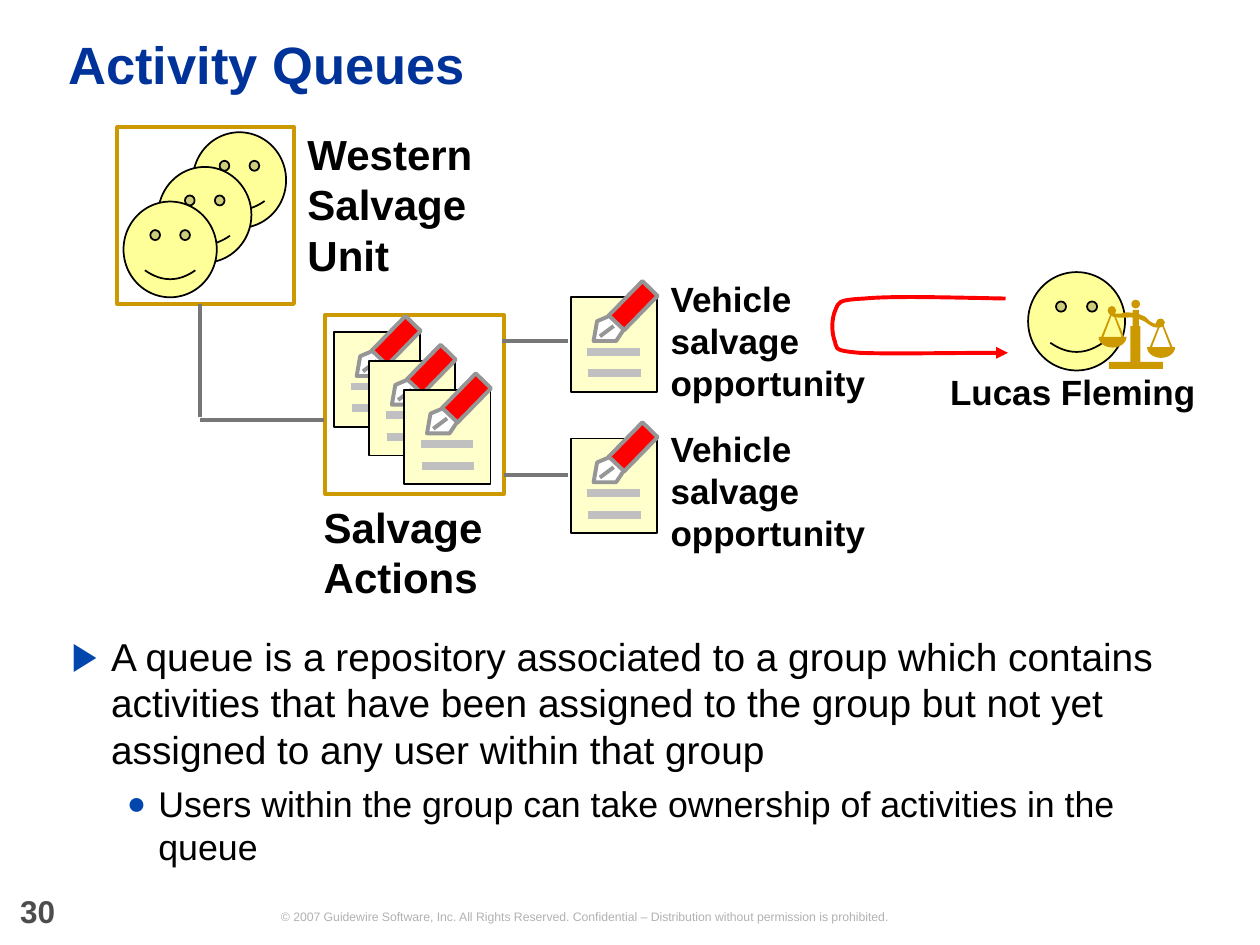
import math

from lxml import etree
from pptx import Presentation
from pptx.dml.color import RGBColor
from pptx.enum import shapes, text
from pptx.oxml import ns
from pptx.util import Pt

COLORS = {
    "title": "003399", "bullet": "0146AD", "black": "000000", "number": "4D4D4D",
    "footer": "B2B2B2", "face": "FFFF99", "gold": "CC9900", "paper": "FFFFCC",
    "rule": "C0C0C0", "red": "FF0000", "pen": "969696", "white": "FFFFFF",
    "connector": "777777",
}
SHAPE = shapes.MSO_SHAPE


def color(name):
    return RGBColor.from_string(COLORS[name])


def style(shape, fill=None, line=None, weight=1):
    shape.shadow.inherit = False
    if fill:
        shape.fill.solid()
        shape.fill.fore_color.rgb = color(fill)
    else:
        shape.fill.background()
    if line:
        shape.line.color.rgb = color(line)
        shape.line.width = Pt(weight)
    else:
        shape.line.fill.background()
    return shape


def add_preset(parent, kind, left, top, width, height, **look):
    return style(parent.add_shape(kind, Pt(left), Pt(top), Pt(width), Pt(height)), **look)


def add_outline(parent, left, top, points, close=True, **look):
    placed = [(Pt(left + x), Pt(top + y)) for x, y in points]
    builder = parent.build_freeform(*placed[0])
    builder.add_line_segments(placed[1:], close=close)
    return style(builder.convert_to_shape(), **look)


def add_line(parent, x1, y1, x2, y2, line, weight=2.25):
    connector = parent.add_connector(
        shapes.MSO_CONNECTOR.STRAIGHT, Pt(x1), Pt(y1), Pt(x2), Pt(y2))
    connector.line.color.rgb = color(line)
    connector.line.width = Pt(weight)
    etree.SubElement(connector._element.spPr, ns.qn("a:effectLst"))


def set_font(paragraph, size, fill, bold=False):
    paragraph.font.name = "Arial"
    paragraph.font.size = Pt(size)
    paragraph.font.bold = bold
    paragraph.font.color.rgb = color(fill)


def add_frame(parent, left, top, width, height, anchor=text.MSO_ANCHOR.TOP):
    frame = parent.add_textbox(Pt(left), Pt(top), Pt(width), Pt(height)).text_frame
    frame.word_wrap = True
    frame.vertical_anchor = anchor
    frame.margin_left = frame.margin_right = frame.margin_top = frame.margin_bottom = 0
    return frame


def add_label(parent, box, words, size, fill="black", bold=True, **layout):
    frame = add_frame(parent, *box, **layout)
    paragraph = frame.paragraphs[0]
    paragraph.text = words
    set_font(paragraph, size, fill, bold)
    return paragraph


def add_face(parent, left, top, width=53.3, height=54.7):
    face = add_preset(parent, SHAPE.SMILEY_FACE, left, top, width, height,
                      fill="face", line="black")
    face.adjustments[0] = 0.093


def add_document(parent, left, top):
    add_preset(parent, SHAPE.RECTANGLE, left, top, 49.3, 54, fill="paper", line="black")
    for x, y in ((10.1, 43.5), (9.5, 31)):
        add_line(parent, left + x, top + y, left + x + 30, top + y, "rule", 4.5)
    pen = add_preset(parent, SHAPE.RECTANGLE, left + 29.5, top - 9, 12.2, 27.7,
                     fill="red", line="pen", weight=2.25)
    pen.rotation = 44.3
    nib = [(22, 10.7), (15, 13.7), (13, 25), (25.9, 25), (30.2, 18.5)]
    add_outline(parent, left, top, nib, fill="white", line="pen", weight=2.25)
    add_line(parent, left + 24.5, top + 16.4, left + 16.6, top + 22.3, "pen")


def add_unit(slide, left, top, size):
    group = slide.shapes.add_group_shape().shapes
    for step in range(3):
        add_face(group, left + 43.2 - 19.8 * step, top + 2.9 + 19.8 * step)
    add_preset(group, SHAPE.RECTANGLE, left, top, size, size, line="gold", weight=2.25)


def add_queue(slide, left, top, size):
    group = slide.shapes.add_group_shape().shapes
    add_preset(group, SHAPE.RECTANGLE, left, top, size, size, line="gold", weight=2.25)
    for step in range(3):
        add_document(group, left + 5 + 20.1 * step, top + 9.9 + 16.4 * step)


def add_activity(slide, left, top, label_top):
    add_document(slide.shapes.add_group_shape().shapes, left, top)
    add_label(slide.shapes, (left + 57, label_top, 121, 72), "Vehicle salvage opportunity", 20)


def add_pan(parent, center, top):
    for side in (-1, 1):
        arm = [(0, 0.3), (side * 5.4, 14.4), (side * 6.5, 14), (side * 0.8, 0)]
        add_outline(parent, center, top, arm, fill="gold")
    angles = [math.pi * step / 16 for step in range(17)]
    bowl = [(8 * math.cos(angle), 14 + 6.1 * math.sin(angle)) for angle in angles]
    add_outline(parent, center, top, bowl, fill="gold")


def add_scales(parent, left, top):
    beam = [(32.8, 13), (31.7, 11.2), (30.2, 10.8), (28.8, 11.2), (27.7, 13), (27.4, 13.8),
            (25.9, 13.3), (24.1, 12.2), (21.6, 9.7), (18, 8.2), (14, 7.4), (10.8, 7.2),
            (7, 8), (4.3, 7.9), (4.9, 6.1), (4, 4.2), (2.5, 3.6), (0.8, 4.3), (0, 6.2),
            (0.8, 8.1), (3, 9.6), (6, 10.2), (9.6, 10.2), (13.7, 10.1), (18, 11),
            (21, 12.3), (24, 14.4), (26.6, 15.7), (29.5, 16), (31.7, 15.3)]
    add_outline(parent, left, top, beam, fill="gold")
    add_pan(parent, left + 2.9, top + 7.2)
    add_pan(parent, left + 30.6, top + 13.1)
    for box in ((14.3, 5.8, 3.6, 13), (13, 15.1, 5.8, 20.9), (0.7, 35.5, 31, 4)):
        add_preset(parent, SHAPE.RECTANGLE, left + box[0], top + box[1], *box[2:], fill="gold")
    add_preset(parent, SHAPE.OVAL, left + 13.6, top, 5, 5, fill="gold")


def add_user(slide, left, top):
    group = slide.shapes.add_group_shape().shapes
    add_face(group, left, top, 55.4, 56.2)
    add_scales(group, left + 45.4, top + 15.8)
    add_label(slide.shapes, (left - 44.6, top + 56.2, 153, 24), "Lucas Fleming", 20)


def add_loop_arrow(slide, left, top):
    points = [(100.1, 1.6), (67.7, 1), (36, 0), (19.5, 1.6), (3.5, 2.4), (5, 3.8), (2.9, 8.1),
              (0.7, 13.2), (0.7, 19.6), (2.1, 24.7), (4.3, 29.7), (0, 31.2), (16.5, 32.6),
              (33, 33.3), (67, 32.6), (101.5, 32.6)]
    arrow = add_outline(slide.shapes, left, top, points, close=False, line="red", weight=2.25)
    segments = arrow._element.xpath(".//a:lnTo")
    for first, second, end in zip(segments[::3], segments[1::3], segments[2::3]):
        first.tag = ns.qn("a:cubicBezTo")
        for other in (second, end):
            first.append(other[0])
            other.getparent().remove(other)
    etree.SubElement(arrow.line._get_or_add_ln(), ns.qn("a:tailEnd"), type="triangle")


def add_bullet(paragraph, character, margin, hanging, percent):
    properties = paragraph._p.get_or_add_pPr()
    properties.set("marL", str(Pt(margin)))
    properties.set("indent", str(-Pt(hanging)))
    bullet_color = etree.SubElement(properties, ns.qn("a:buClr"))
    etree.SubElement(bullet_color, ns.qn("a:srgbClr"), val=COLORS["bullet"])
    etree.SubElement(properties, ns.qn("a:buSzPct"), val=str(percent * 1000))
    etree.SubElement(properties, ns.qn("a:buFont"), typeface="Arial")
    etree.SubElement(properties, ns.qn("a:buChar"), char=character)


def add_body(slide, left, top, width, height):
    frame = add_frame(slide.shapes, left, top, width, height)
    main = frame.paragraphs[0]
    main.text = ("A queue is a repository associated to a group which contains activities that "
                 "have been assigned to the group but not yet assigned to any user within that group")
    add_bullet(main, "▶", 22.5, 22.5, 100)
    set_font(main, 22.2, "black")
    detail = frame.add_paragraph()
    detail.text = "Users within the group can take ownership of activities in the queue"
    detail.level = 1
    add_bullet(detail, "●", 49.5, 18, 90)
    detail.space_before = Pt(5.5)
    set_font(detail, 20.4, "black")


def add_footer(slide, left, top):
    middle = text.MSO_ANCHOR.MIDDLE
    notice = add_label(
        slide.shapes, (left + 74.2, top + 5.8, 496.8, 8.6),
        "© 2007 Guidewire Software, Inc. All Rights Reserved. Confidential – "
        "Distribution without permission is prohibited.", 7, "footer", False, anchor=middle)
    notice.alignment = text.PP_ALIGN.CENTER
    number = add_label(slide.shapes, (left, top, 41, 18), "30", 18, "number")
    number.line_spacing = Pt(18)


def main():
    presentation = Presentation()
    presentation.slide_width, presentation.slide_height = Pt(720), Pt(540)
    slide = presentation.slides.add_slide(presentation.slide_layouts[6])
    add_footer(slide, 11.5, 513.4)
    title = add_label(slide.shapes, (39, 9.4, 655, 58.3), "Activity Queues", 30, "title",
                      anchor=text.MSO_ANCHOR.MIDDLE)
    title.line_spacing = 0.9
    add_body(slide, 41, 361.4, 655, 142)
    add_unit(slide, 67, 72.7, 101)
    add_queue(slide, 185.8, 180, 102.2)
    add_label(slide.shapes, (175.7, 73.4, 229.7, 86.4), "Western\vSalvage\vUnit", 24)
    add_label(slide.shapes, (185, 286.6, 108.7, 57.6), "Salvage Actions", 24)
    add_activity(slide, 326.2, 169.9, 158.4)
    add_activity(slide, 326.2, 250.6, 244.1)
    for ends in ((114.5, 173.5, 114.5, 238.3), (114.5, 239.8, 185, 239.8),
                 (324.7, 195.1, 286.6, 195.1), (324.7, 271.4, 288, 271.4)):
        add_line(slide.shapes, *ends, "connector")
    add_user(slide, 587.5, 155.5)
    add_loop_arrow(slide, 474.5, 169)
    presentation.save("out.pptx")


if __name__ == "__main__":
    main()
